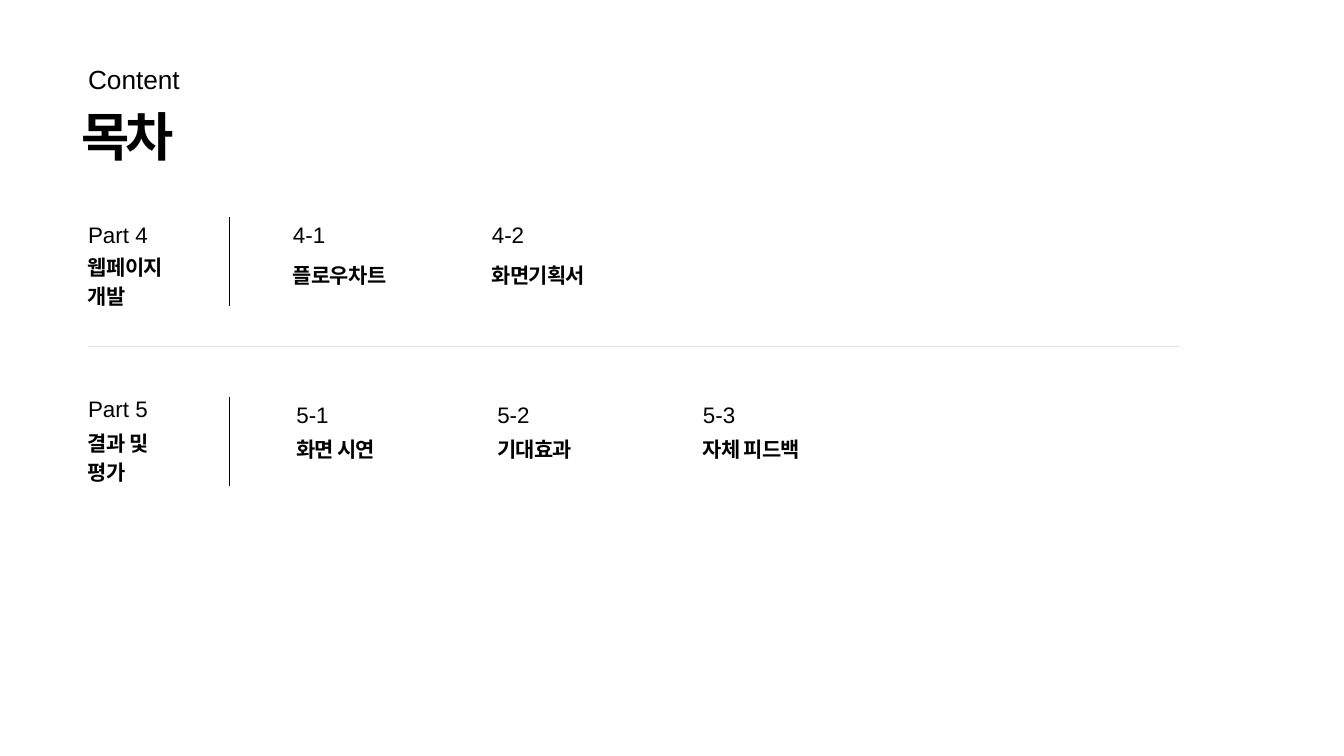
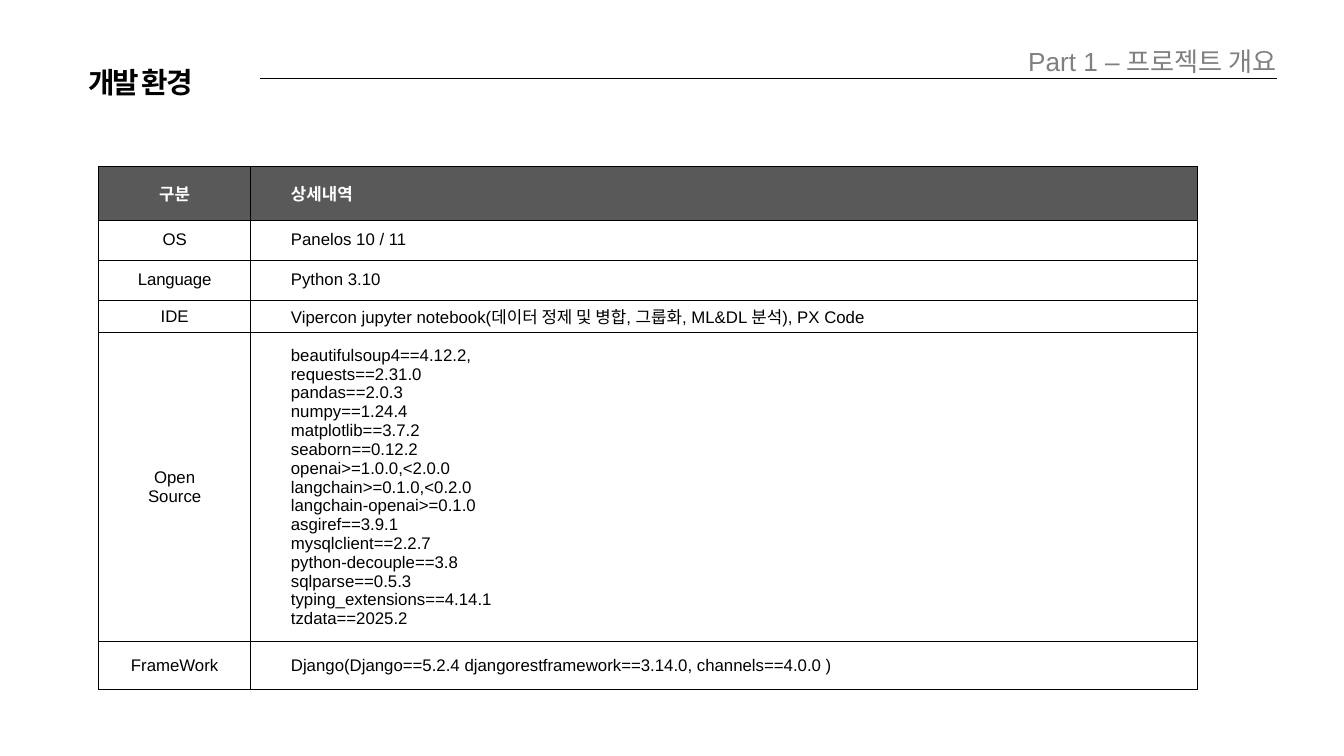
from lxml.etree import SubElement
from pptx import Presentation
from pptx.dml.color import RGBColor
from pptx.enum.shapes import MSO_CONNECTOR as Link
from pptx.enum.text import MSO_ANCHOR as Anchor, MSO_AUTO_SIZE as Fit, PP_ALIGN as Align
from pptx.oxml.ns import qn
from pptx.util import Pt

BLACK, WHITE, GRAY, DARK, PALE = "000000", "FFFFFF", "808080", "595959", "DFDFDF"
FONT, HEAD = "Arial", "Calibri"
LEFT, BAR = 94.3, 246.2
NUM = dict(size=24, lead=33.6)
NAME = dict(size=22.4, lead=31.3, bold=True, gap=-0.8)

PARTS = [
    dict(top=232.6, label=232.6, team=268.6, step=43.9, part="Part 4", name="웹페이지\n개발",
         items=[(313.9, "4-1", "플로우차트"), (527, "4-2", "화면기획서")]),
    dict(top=425.5, label=418.3, team=457.2, step=38, part="Part 5", name="결과 및\n평가",
         items=[(317.5, "5-1", "화면 시연"), (532.8, "5-2", "기대효과"),
                (753.1, "5-3", "자체 피드백")]),
]

TOOLS = """beautifulsoup4==4.12.2,
requests==2.31.0
pandas==2.0.3
numpy==1.24.4
matplotlib==3.7.2
seaborn==0.12.2
openai>=1.0.0,<2.0.0
langchain>=0.1.0,<0.2.0
langchain-openai>=0.1.0
asgiref==3.9.1
mysqlclient==2.2.7
python-decouple==3.8
sqlparse==0.5.3
typing_extensions==4.14.1
tzdata==2025.2"""

ROWS = [
    (57, "구분", "상세내역"),
    (43, "OS", "Panelos 10 / 11"),
    (43, "Language", "Python 3.10"),
    (35, "IDE", "Vipercon jupyter notebook(데이터 정제 및 병합, 그룹화, ML&DL 분석), PX Code"),
    (331, "Open\nSource", TOOLS),
    (51, "FrameWork", "Django(Django==5.2.4 djangorestframework==3.14.0, channels==4.0.0 )"),
]


def color(code):
    """Turn a hex string into a colour."""
    return RGBColor.from_string(code)


def style(para, size, ink=BLACK, bold=False, gap=0, font=FONT):
    """Format the runs of a paragraph."""
    for run in para.runs:
        run.font.name, run.font.size, run.font.bold = font, Pt(size), bold
        run.font.color.rgb = color(ink)
        if gap:
            run._r.get_or_add_rPr().set("spc", str(round(gap * 100)))


def write(shape, text, box, lead, align=Align.LEFT, **look):
    """Place a text shape and fill it."""
    shape.left, shape.top, shape.width, shape.height = map(Pt, box)
    frame = shape.text_frame
    frame.text = text
    frame.word_wrap, frame.auto_size = True, Fit.NONE
    frame.vertical_anchor = Anchor.TOP
    frame.margin_left = frame.margin_top = frame.margin_right = frame.margin_bottom = 0
    for para in frame.paragraphs:
        para.alignment, para.line_spacing = align, Pt(lead)
        para.space_before = Pt(0)
        style(para, **look)


def label(slide, text, box, **look):
    """Add a text box."""
    write(slide.shapes.add_textbox(0, 0, 0, 0), text, box, **look)


def rule(slide, x1, y1, x2, y2, ink=BLACK):
    """Add a thin straight line."""
    line = slide.shapes.add_connector(Link.STRAIGHT, *map(Pt, (x1, y1, x2, y2)))
    line.line.color.rgb, line.line.width = color(ink), Pt(0.75)
    SubElement(line._element.spPr, qn("a:effectLst"))


def start(deck, title, box, **look):
    """Add a title-only slide with its title."""
    slide = deck.slides.add_slide(deck.slide_layouts[5])
    write(slide.shapes.title, title, box, bold=True, **look)
    return slide


def edge(cell, **sides):
    """Draw black cell borders of the given widths."""
    props = cell._tc.get_or_add_tcPr()
    for side, width in sides.items():
        line = SubElement(props, qn(f"a:ln{side}"), w=str(Pt(width)))
        fill = SubElement(line, qn("a:solidFill"))
        SubElement(fill, qn("a:srgbClr"), val=BLACK)


def fill(cell, text, head, first):
    """Write and format one table cell."""
    cell.text, cell.vertical_anchor = text, Anchor.MIDDLE
    edge(cell, L=0.75 if first else 1, R=1 if first else 0.75, T=0.75, B=0.75)
    if head:
        cell.fill.solid()
        cell.fill.fore_color.rgb = color(DARK)
    else:
        cell.fill.background()
    look = dict(ink=WHITE, bold=True, font=HEAD) if head else {}
    for para in cell.text_frame.paragraphs:
        if first:
            para.alignment = Align.CENTER
        else:
            para.level = 1
            props = para._p.get_or_add_pPr()
            props.set("marL", str(Pt(36)))
            props.set("indent", "0")
        style(para, 18, gap=-0.2 if text == "Language" else 0, **look)


def grid(slide, rows, left, top, widths):
    """Add the two-column table."""
    high = sum(row[0] for row in rows)
    frame = slide.shapes.add_table(len(rows), len(widths),
                                   *map(Pt, (left, top, sum(widths), high)))
    table = frame.table
    table.first_row = table.horz_banding = False
    for col, width in zip(table.columns, widths):
        col.width = Pt(width)
    for i, (tall, *texts) in enumerate(rows):
        table.rows[i].height = Pt(tall)
        for j, text in enumerate(texts):
            fill(table.cell(i, j), text, head=i == 0, first=j == 0)


def part(slide, top, label_top, team, step, title, name, items):
    """Add one part of the contents with its items."""
    rule(slide, BAR, top, BAR, top + 95.7)
    label(slide, title, (LEFT, label_top, 85, 31), **NUM)
    label(slide, name, (LEFT, team, 112.3, 60), **NAME)
    for x, num, text in items:
        label(slide, num, (x, top, 78, 31), **NUM)
        label(slide, text, (x, top + step, 200, 30), **NAME)


def contents(deck):
    """Build the contents slide."""
    slide = start(deck, "목차", (87.1, 120.2, 544, 60.5), size=56.2, lead=59, gap=-3.8)
    label(slide, "Content", (LEFT, 61.9, 294.5, 36), size=28.1, lead=39.4)
    for row in PARTS:
        part(slide, row["top"], row["label"], row["team"], row["step"],
             row["part"], row["name"], row["items"])
    rule(slide, LEFT, 371.5, 1262.9, 371.5, PALE)


def setup(deck):
    """Build the development environment slide."""
    slide = start(deck, "개발 환경", (LEFT, 62.6, 294.5, 40.3), size=30.9, lead=43.3, gap=-2)
    rule(slide, 278.6, 84.2, 1368, 84.2)
    label(slide, "Part 1 – 프로젝트 개요", (911.5, 43.2, 456.5, 36.7),
          size=28, lead=39.4, ink=GRAY, align=Align.RIGHT)
    grid(slide, ROWS, 105.8, 178.6, (162.7, 1014.5))


def main():
    """Build and save the slides."""
    deck = Presentation()
    deck.slide_width, deck.slide_height = Pt(1440), Pt(810)
    contents(deck)
    setup(deck)
    deck.save("out.pptx")


if __name__ == "__main__":
    main()
